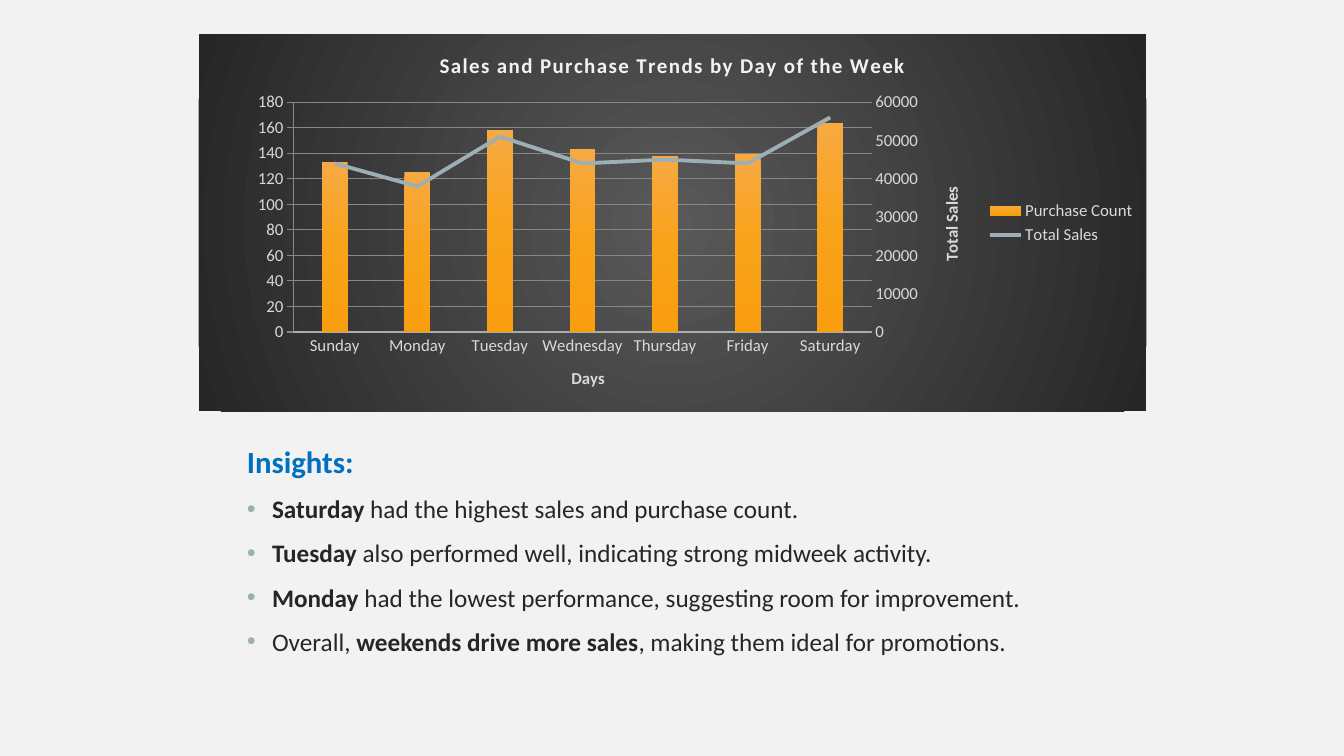
from copy import deepcopy

from pptx import Presentation
from pptx.chart.axis import ValueAxis
from pptx.chart.data import CategoryChartData
from pptx.dml.color import RGBColor
from pptx.enum.chart import (XL_CHART_TYPE, XL_LEGEND_POSITION,
                             XL_MARKER_STYLE, XL_TICK_MARK)
from pptx.oxml import parse_xml
from pptx.oxml.ns import nsdecls, qn
from pptx.util import Inches, Pt

NO_TICK = XL_TICK_MARK.NONE
FONT = "Calibri"
COLORS = {"page": "F2F2F2", "label": "D9D9D9", "head": "0070C0",
          "body": "262626", "steel": "9BAFB5"}
PANEL = [(0, "595959"), (100, "262626")]
BARS = [(0, "F7A942"), (50, "F9A31A"), (100, "F99E0F")]

TITLE = "Sales and Purchase Trends by Day of the Week"
DAYS = ["Sunday", "Monday", "Tuesday", "Wednesday", "Thursday", "Friday",
        "Saturday"]
SERIES = {
    "Purchase Count": [133, 125, 158, 143, 138, 139, 164],
    "Total Sales": [44000, 38000, 51000, 44000, 45000, 44000, 56000],
}
HEAD = "Insights:"
# Each point is a list of (text, bold) parts.
POINTS = [
    [("Saturday", True), (" had the highest sales and purchase count.", False)],
    [("Tuesday", True),
     (" also performed well, indicating strong midweek activity.", False)],
    [("Monday", True),
     (" had the lowest performance, suggesting room for improvement.", False)],
    [("Overall, ", False), ("weekends drive more sales", True),
     (", making them ideal for promotions.", False)],
]
CHART_BOX = (1.97, 0.34, 9.4, 3.74)
TEXT_BOX = (2.35, 4.34, 8.45, 3)
PLOT = {"x": 0.1, "y": 0.18, "w": 0.61, "h": 0.61}  # shares of the chart


def rgb(name):
    return RGBColor.from_string(COLORS[name])


def style(font, size, color, bold=False):
    font.name, font.size, font.bold = FONT, Pt(size), bold
    font.color.rgb = rgb(color)


def grad(stops, shade):
    """Return a c:spPr with a gradient fill and no line."""
    marks = "".join(f'<a:gs pos="{pos * 1000}"><a:srgbClr val="{color}"/></a:gs>'
                    for pos, color in stops)
    return parse_xml(
        f'<c:spPr {nsdecls("c", "a")}><a:gradFill><a:gsLst>{marks}</a:gsLst>'
        f'{shade}</a:gradFill><a:ln><a:noFill/></a:ln></c:spPr>')


def fade(line, width, share):
    """Draw a light line with the given opacity in percent."""
    line.width = Pt(width)
    line.color.rgb = rgb("page")
    fill = line._get_or_add_ln().find(".//" + qn("a:srgbClr"))
    fill.append(parse_xml(f'<a:alpha {nsdecls("a")} val="{share * 1000}"/>'))


def name_axis(axis, text, turn=0):
    axis.major_tick_mark = axis.minor_tick_mark = NO_TICK
    style(axis.tick_labels.font, 12, "label")
    frame = axis.axis_title.text_frame
    frame.text = text
    style(frame.paragraphs[0].runs[0].font, 12, "label", True)
    frame._txBody.find(qn("a:bodyPr")).set("rot", str(turn * 60000))


def add_line_plot(area):
    """Move the second series to a line plot with its own axes."""
    bar = area.find(qn("c:barChart"))
    ser = bar.findall(qn("c:ser"))[1]
    for flag in ser.findall(qn("c:invertIfNegative")):
        ser.remove(flag)
    plot = parse_xml(
        f'<c:lineChart {nsdecls("c")}><c:grouping val="standard"/>'
        '<c:varyColors val="0"/><c:marker val="1"/>'
        '<c:axId val="501"/><c:axId val="502"/></c:lineChart>')
    plot.insert(2, ser)
    bar.addnext(plot)
    cat, val = area.find(qn("c:catAx")), area.find(qn("c:valAx"))
    days, sales = deepcopy(cat), deepcopy(val)
    for axis, own, other in ((days, "501", "502"), (sales, "502", "501")):
        axis.find(qn("c:axId")).set("val", own)
        axis.find(qn("c:crossAx")).set("val", other)
    days.find(qn("c:delete")).set("val", "1")
    sales.find(qn("c:axPos")).set("val", "r")
    sales.find(qn("c:crosses")).set("val", "max")
    val.addnext(sales)
    sales.addnext(days)
    return ValueAxis(sales)


def add_chart(slide):
    data = CategoryChartData()
    data.categories = DAYS
    for name, values in SERIES.items():
        data.add_series(name, values)
    chart = slide.shapes.add_chart(XL_CHART_TYPE.COLUMN_CLUSTERED,
                                   *map(Inches, CHART_BOX), data).chart
    style(chart.font, 12, "label")
    root = chart._chartSpace
    root.find(qn("c:chart")).addnext(grad(
        PANEL, '<a:path path="circle"><a:fillToRect l="50000" t="50000" '
               'r="50000" b="50000"/></a:path>'))

    frame = chart.chart_title.text_frame
    frame.text = TITLE
    run = frame.paragraphs[0].runs[0]
    style(run.font, 15, "page", True)
    run.font._element.set("spc", "100")

    area = root.find(".//" + qn("c:plotArea"))
    for old in area.findall(qn("c:layout")):
        area.remove(old)
    sizes = "".join(f'<c:{key} val="{share}"/>' for key, share in PLOT.items())
    area.insert(0, parse_xml(
        f'<c:layout {nsdecls("c")}><c:manualLayout>'
        '<c:layoutTarget val="inner"/><c:xMode val="edge"/>'
        f'<c:yMode val="edge"/>{sizes}</c:manualLayout></c:layout>'))

    right = add_line_plot(area)
    left, base = chart.value_axis, chart.category_axis
    name_axis(base, "Days")
    name_axis(left, "Purchse Count", -90)
    name_axis(right, "Total Sales", -90)
    fade(base.format.line, 1, 54)
    left.has_major_gridlines = True
    fade(left.major_gridlines.format.line, 0.75, 10)
    right.has_major_gridlines = False
    for axis, top, step in ((left, 180, 20), (right, 60000, 10000)):
        axis.format.line.fill.background()
        axis.minimum_scale, axis.maximum_scale = 0, top
        axis.major_unit = step

    bars, line = chart.plots
    bars.gap_width = 219
    bars.vary_by_categories = False
    count, sales = bars.series[0], line.series[0]
    count._element.find(qn("c:tx")).addnext(
        grad(BARS, '<a:lin ang="5400000" scaled="0"/>'))
    sales.format.line.width = Pt(2.75)
    sales.format.line.color.rgb = rgb("steel")
    sales.marker.style = XL_MARKER_STYLE.NONE
    sales.smooth = False

    chart.has_legend = True
    chart.legend.position = XL_LEGEND_POSITION.RIGHT
    chart.legend.include_in_layout = False
    style(chart.legend.font, 12, "label")


def add_bullet(para):
    props = para._p.get_or_add_pPr()
    props.set("marL", str(Inches(0.25)))
    props.set("indent", str(-Inches(0.25)))
    for xml in (f'<a:buClr {nsdecls("a")}><a:srgbClr val="{COLORS["steel"]}"/>'
                '</a:buClr>',
                f'<a:buFont {nsdecls("a")} typeface="Arial"/>',
                f'<a:buChar {nsdecls("a")} char="•"/>'):
        props.append(parse_xml(xml))


def add_text(slide):
    frame = slide.shapes.add_textbox(*map(Inches, TEXT_BOX)).text_frame
    frame.word_wrap = True
    frame.text = HEAD
    style(frame.paragraphs[0].runs[0].font, 22, "head", True)
    for parts in POINTS:
        para = frame.add_paragraph()
        add_bullet(para)
        para.space_before = Pt(10)
        for text, bold in parts:
            run = para.add_run()
            run.text = text
            style(run.font, 18, "body", bold)


def main():
    deck = Presentation()
    deck.slide_width, deck.slide_height = Inches(13.33), Inches(7.5)
    slide = deck.slides.add_slide(deck.slide_layouts[6])
    slide.background.fill.solid()
    slide.background.fill.fore_color.rgb = rgb("page")
    add_text(slide)
    add_chart(slide)
    deck.save("out.pptx")


if __name__ == "__main__":
    main()
